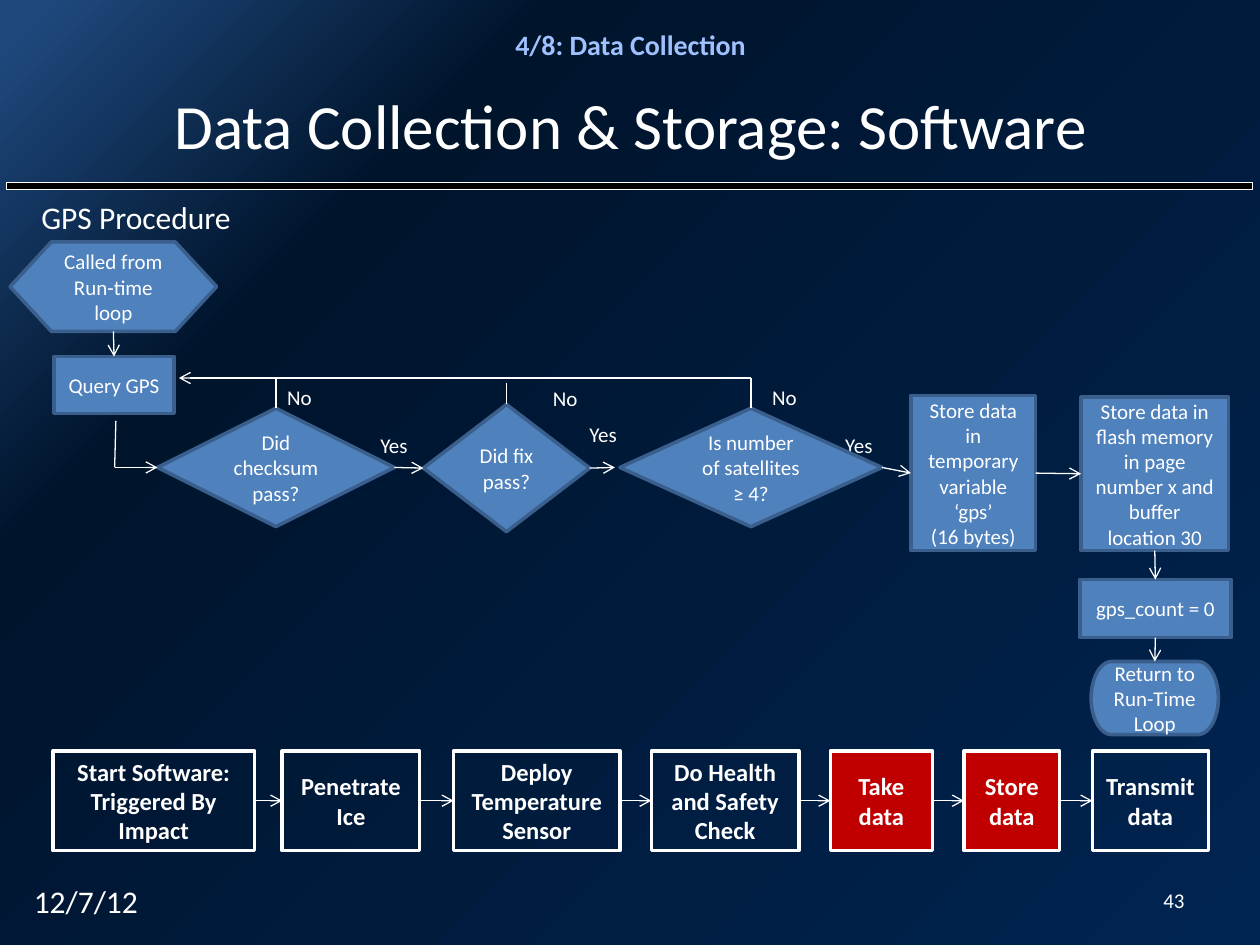
"""Build the GPS procedure slide: flowchart above the software sequence."""
from copy import deepcopy
from pptx import Presentation
from pptx.dml.color import RGBColor
from pptx.enum.shapes import MSO_CONNECTOR, MSO_SHAPE as SHAPE
from pptx.enum.text import MSO_ANCHOR as ANCHOR, PP_ALIGN as ALIGN
from pptx.oxml.ns import qn
from pptx.util import Inches, Pt
from lxml import etree

WHITE = RGBColor(0xFF, 0xFF, 0xFF)
BLACK = RGBColor(0x00, 0x00, 0x00)
BLUE = RGBColor(0x4F, 0x81, 0xBD)
EDGE_BLUE = RGBColor(0x3A, 0x5F, 0x8C)
RED = RGBColor(0xC0, 0x00, 0x00)
HEADER_BLUE = RGBColor(0xA0, 0xC1, 0xFF)
BACKDROP = [
    (0.02, RGBColor(0x1F, 0x49, 0x7D)),
    (0.25, RGBColor(0x00, 0x14, 0x2C)),
    (1.0, RGBColor(0x00, 0x24, 0x51)),
]
TOP, LEFT, BOTTOM, RIGHT = range(4)

prs = Presentation()
prs.slide_width, prs.slide_height = Inches(10), Inches(7.5)
slide = prs.slides.add_slide(prs.slide_layouts[6])

backdrop = slide.background.fill
backdrop.gradient()
backdrop.gradient_angle = 315
stop_list = slide.element.find(".//" + qn("a:gsLst"))
stop_list.append(deepcopy(stop_list[0]))
for stop, (position, color) in zip(backdrop.gradient_stops, BACKDROP):
    stop.position = position
    stop.color.rgb = color


def write(shape, text, size, align=ALIGN.CENTER, anchor=ANCHOR.MIDDLE, bold=False, color=WHITE):
    frame = shape.text_frame
    frame.word_wrap = True
    frame.vertical_anchor = anchor
    frame.text = text
    for paragraph in frame.paragraphs:
        paragraph.alignment = align
        for run in paragraph.runs:
            run.font.name = "Calibri"
            run.font.size = Pt(size)
            run.font.bold = bold
            run.font.color.rgb = color


def connect(start, end, head=True):
    points = [p if isinstance(p[0], (int, float)) else (0, 0) for p in (start, end)]
    line = slide.shapes.add_connector(
        MSO_CONNECTOR.STRAIGHT, *(Inches(v) for point in points for v in point))
    if not isinstance(start[0], (int, float)):
        line.begin_connect(*start)
    if not isinstance(end[0], (int, float)):
        line.end_connect(*end)
    line.line.color.rgb = WHITE
    line.line.width = Pt(0.75)
    if head:
        etree.SubElement(line.line._get_or_add_ln(), qn("a:tailEnd"), type="arrow")
    etree.SubElement(line._element.spPr, qn("a:effectLst"))


rule = slide.shapes.add_shape(
    SHAPE.RECTANGLE, Inches(0.05), Inches(1.45), Inches(9.89), Inches(0.05))
rule.shadow.inherit = False
rule.fill.solid()
rule.fill.fore_color.rgb = BLACK
rule.line.color.rgb = WHITE
rule.line.width = Pt(0.25)

captions = [
    ((2.92, 0.17, 4.17, 0.37), "4/8: Data Collection", 16, ALIGN.CENTER, ANCHOR.TOP, True, HEADER_BLUE),
    ((0.88, 0.55, 8.25, 0.88), "Data Collection & Storage: Software", 36, ALIGN.CENTER),
    ((0.23, 1.52, 2.25, 0.4), "GPS Procedure", 18, ALIGN.LEFT, ANCHOR.TOP),
    ((0.17, 6.95, 2.33, 0.4), "12/7/12", 18, ALIGN.LEFT, ANCHOR.TOP),
    ((9.08, 6.95, 0.42, 0.38), "43", 12, ALIGN.RIGHT),
]
answers = [
    ("No", 2.18, 3, 0.72), ("No", 4.29, 3.01, 0.72), ("No", 6.03, 3, 0.72),
    ("Yes", 2.92, 3.38, 0.49), ("Yes", 4.58, 3.3, 0.49), ("Yes", 6.61, 3.38, 0.49),
]
for answer, left, top, width in answers:
    captions.append(((left, top, width, 0.3), answer, 12, ALIGN.LEFT, ANCHOR.TOP))
for box, *wording in captions:
    write(slide.shapes.add_textbox(*map(Inches, box)), *wording)

procedure = [
    (SHAPE.FLOWCHART_PREPARATION, (0.08, 1.92, 1.64, 0.71), "Called from Run-time loop"),
    (SHAPE.FLOWCHART_PROCESS, (0.43, 2.83, 0.95, 0.45), "Query GPS"),
    (SHAPE.FLOWCHART_DECISION, (1.25, 3.24, 1.88, 0.94), "Did checksum pass?"),
    (SHAPE.FLOWCHART_DECISION, (3.36, 3.21, 1.32, 1.01), "Did fix pass?"),
    (SHAPE.FLOWCHART_DECISION, (4.92, 3.24, 2.08, 0.94), "Is number of satellites ≥ 4?"),
    (SHAPE.FLOWCHART_PROCESS, (7.23, 3.14, 0.99, 1.23),
     "Store data in temporary variable ‘gps’\n(16 bytes)"),
    (SHAPE.FLOWCHART_PROCESS, (8.58, 3.15, 1.17, 1.22),
     "Store data in flash memory in page number x and buffer location 30"),
    (SHAPE.FLOWCHART_PROCESS, (8.57, 4.6, 1.2, 0.46), "gps_count = 0"),
    (SHAPE.FLOWCHART_TERMINATOR, (8.66, 5.25, 1.01, 0.58), "Return to Run-Time Loop"),
]
steps = []
for kind, box, text in procedure:
    step = slide.shapes.add_shape(kind, *map(Inches, box))
    step.shadow.inherit = False
    step.fill.solid()
    step.fill.fore_color.rgb = BLUE
    step.line.color.rgb = EDGE_BLUE
    step.line.width = Pt(2)
    write(step, text, 12)
    steps.append(step)
called, query, checksum, fix, satellites, store_temp, store_flash, reset, back = steps

for upper, lower in [(called, query), (store_flash, reset), (reset, back)]:
    connect((upper, BOTTOM), (lower, TOP))
for before, after in [(checksum, fix), (satellites, store_temp), (store_temp, store_flash)]:
    connect((before, RIGHT), (after, LEFT))
connect((fix, RIGHT), (4.88, 3.71))
connect((0.92, 3.34), (0.91, 3.71), head=False)
connect((0.91, 3.71), (checksum, LEFT))
connect((5.96, 3), (1.42, 3))
for decision, x, y in [(checksum, 2.19, 3), (fix, 4.02, 3.04), (satellites, 5.96, 3)]:
    connect((decision, TOP), (x, y), head=False)

sequence = [
    (0.42, 1.6, "Start Software: Triggered By Impact", None),
    (2.24, 1.09, "Penetrate Ice", None),
    (3.6, 1.32, "Deploy Temperature Sensor", None),
    (5.17, 1.17, "Do Health and Safety Check", None),
    (6.59, 0.81, "Take data", RED),
    (7.65, 0.76, "Store data", RED),
    (8.67, 0.92, "Transmit data", None),
]
stages = []
for left, width, text, color in sequence:
    stage = slide.shapes.add_shape(
        SHAPE.FLOWCHART_PROCESS, Inches(left), Inches(5.96), Inches(width), Inches(0.79))
    stage.shadow.inherit = False
    if color:
        stage.fill.solid()
        stage.fill.fore_color.rgb = color
    else:
        stage.fill.background()
    stage.line.color.rgb = WHITE
    stage.line.width = Pt(2)
    write(stage, text, 14, bold=True)
    stages.append(stage)
for before, after in zip(stages, stages[1:]):
    connect((before, RIGHT), (after, LEFT))

prs.save("out.pptx")
